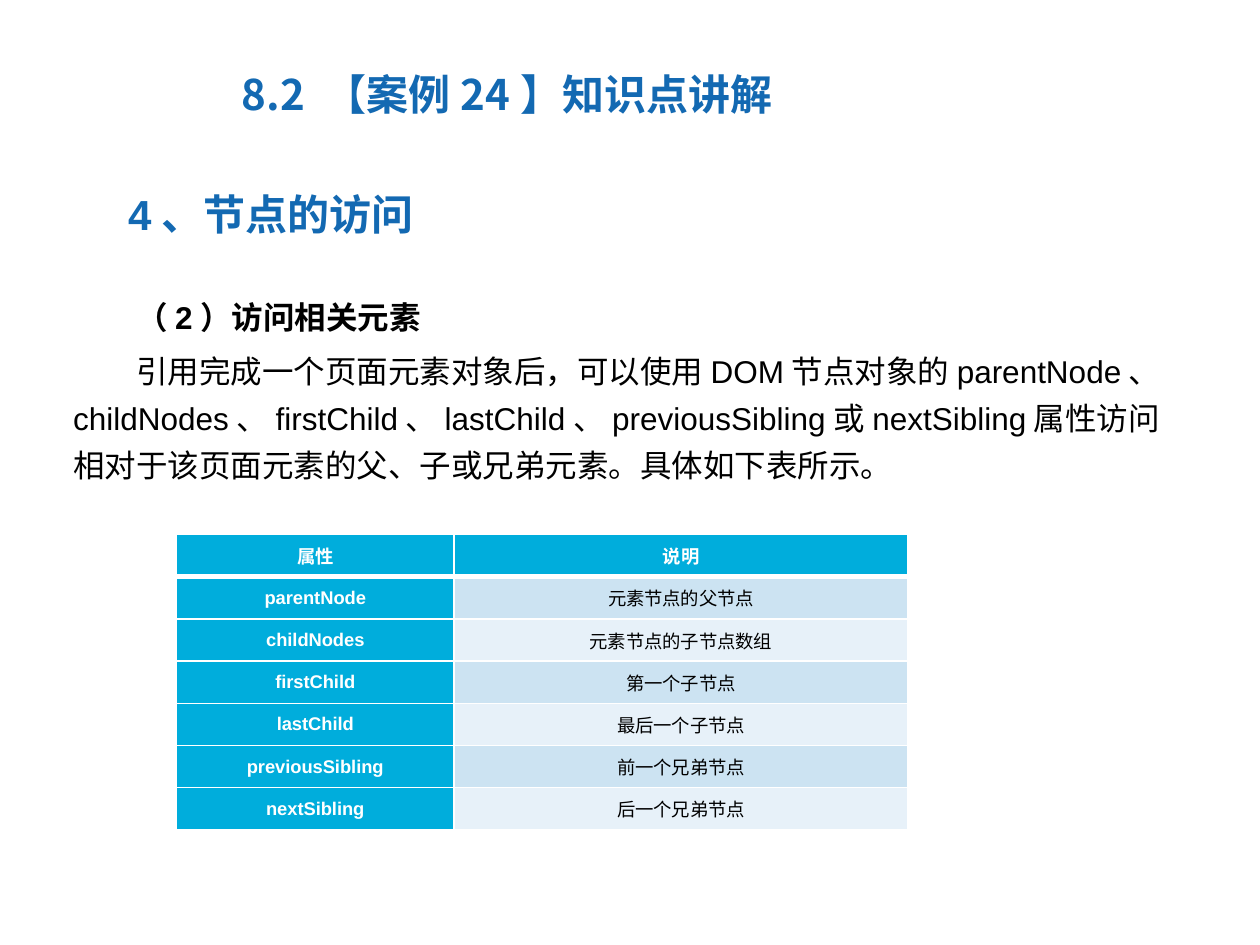
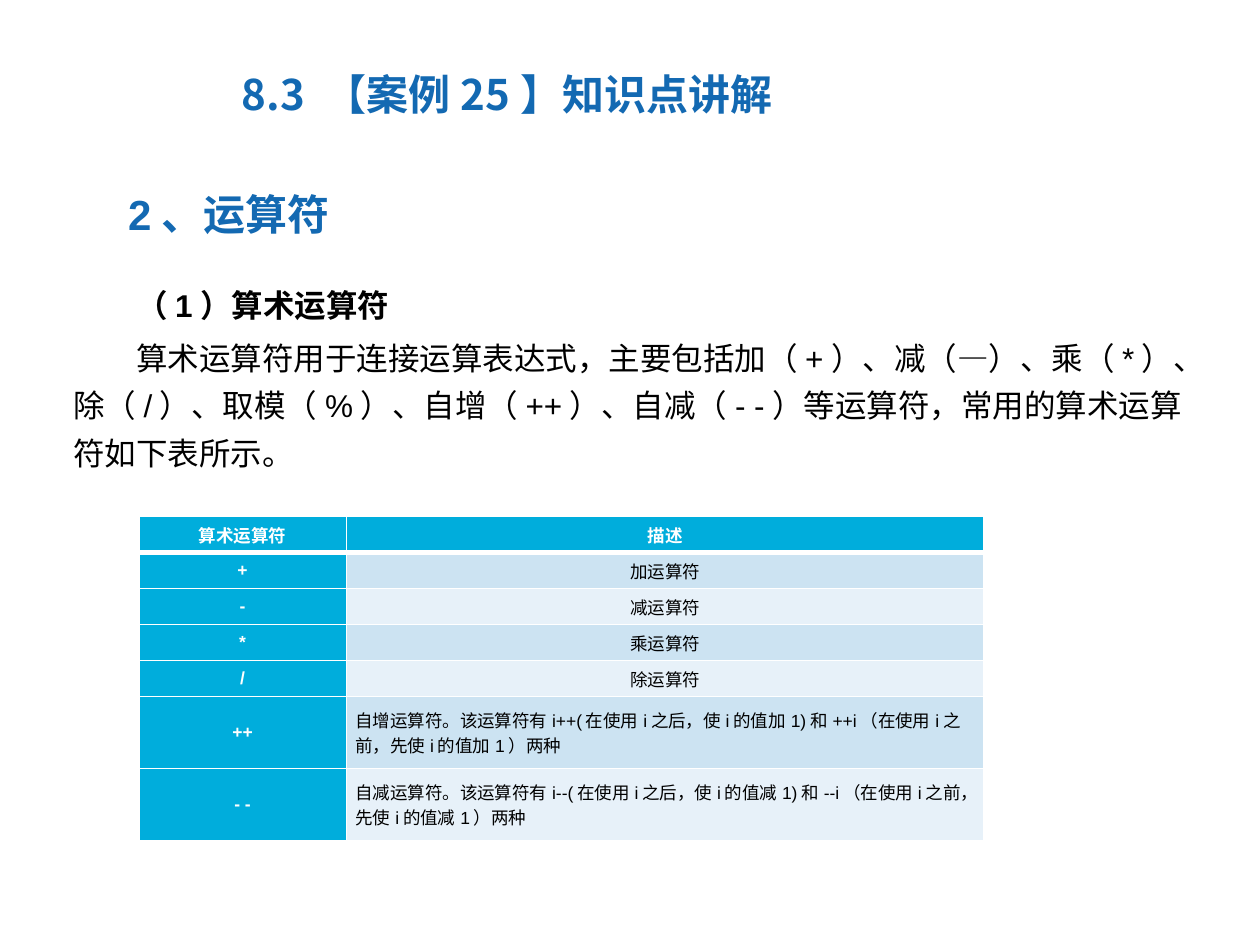
from dataclasses import dataclass

from lxml.etree import SubElement
from pptx import Presentation
from pptx.dml.color import RGBColor
from pptx.enum.text import MSO_ANCHOR as Anchor, MSO_AUTO_SIZE as AutoSize, PP_ALIGN as Align
from pptx.oxml import parse_xml
from pptx.oxml.ns import nsdecls, qn
from pptx.util import Pt

# Shared look
BLUE = RGBColor(0x13, 0x69, 0xB2)
CYAN = RGBColor(0x00, 0xAD, 0xDC)
BAND_DARK = RGBColor(0xCC, 0xE3, 0xF2)
BAND_LIGHT = RGBColor(0xE7, 0xF1, 0xF9)
WHITE = RGBColor(0xFF, 0xFF, 0xFF)
BLACK = RGBColor(0x00, 0x00, 0x00)
LATIN = "Arial"
CHINESE = "Noto Sans CJK SC"
INDENT = 36


@dataclass(frozen=True)
class Box:
    left: float
    top: float
    width: float
    height: float


@dataclass(frozen=True)
class Grid:
    box: Box
    columns: tuple[float, ...]
    row_units: tuple[int, ...]
    font_size: float
    rows: tuple[tuple[str, str], ...]


@dataclass(frozen=True)
class Lesson:
    title: str
    heading: str
    topic: str
    body: str
    body_top: float
    grid: Grid


TITLE_BOX = Box(131, 35.3, 611.3, 56.9)
HEADING_BOX = Box(30.2, 104.4, 604, 36)

LESSONS = (
    Lesson(
        "8.2 【案例24】知识点讲解",
        "4、节点的访问",
        "（2）访问相关元素",
        "引用完成一个页面元素对象后，可以使用DOM节点对象的parentNode、childNodes、"
        "firstChild、lastChild、previousSibling或nextSibling属性访问相对于该页面元素的"
        "父、子或兄弟元素。具体如下表所示。",
        161.3,
        Grid(Box(101, 305.4, 418, 169), (158.4, 259.6), (1,) * 7, 10.5, (
            ("属性", "说明"),
            ("parentNode", "元素节点的父节点"),
            ("childNodes", "元素节点的子节点数组"),
            ("firstChild", "第一个子节点"),
            ("lastChild", "最后一个子节点"),
            ("previousSibling", "前一个兄弟节点"),
            ("nextSibling", "后一个兄弟节点"),
        )),
    ),
    Lesson(
        "8.3 【案例25】知识点讲解",
        "2、运算符",
        "（1）算术运算符",
        "算术运算符用于连接运算表达式，主要包括加（+）、减（—）、乘（*）、除（/）、"
        "取模（%）、自增（++）、自减（- -）等运算符，常用的算术运算符如下表所示。",
        154.3,
        Grid(Box(79.3, 295.2, 483, 185), (118.6, 364.4), (1, 1, 1, 1, 1, 2, 2), 10, (
            ("算术运算符", "描述"),
            ("+", "加运算符"),
            ("-", "减运算符"),
            ("*", "乘运算符"),
            ("/", "除运算符"),
            ("++", "自增运算符。该运算符有i++(在使用i之后，使i的值加1)和++i（在使用i之前，先使i的值加1）两种"),
            ("- -", "自减运算符。该运算符有i--(在使用i之后，使i的值减1)和--i（在使用i之前，先使i的值减1）两种"),
        )),
    ),
)


def place(shape, box: Box) -> None:
    shape.left, shape.top = Pt(box.left), Pt(box.top)
    shape.width, shape.height = Pt(box.width), Pt(box.height)


def style(para, size: float, color: RGBColor, bold: bool, latin: str = LATIN) -> None:
    for span in para.runs:
        span.font.size = Pt(size)
        span.font.bold = bold
        span.font.color.rgb = color
        span.font.name = latin
        SubElement(span._r.get_or_add_rPr(), qn("a:ea"), typeface=CHINESE)


def indent_first_line(para) -> None:
    properties = para._p.get_or_add_pPr()
    properties.set("marL", "0")
    properties.set("indent", str(Pt(INDENT)))
    SubElement(properties, qn("a:buNone"))


def draw_title(page, text: str) -> None:
    title = page.shapes.title
    place(title, TITLE_BOX)
    frame = title.text_frame
    frame.text = text
    frame.auto_size = AutoSize.NONE
    frame.vertical_anchor = Anchor.TOP
    frame.paragraphs[0].alignment = Align.LEFT
    style(frame.paragraphs[0], 24, BLUE, True, CHINESE)


def draw_heading(page, text: str) -> None:
    box = HEADING_BOX
    heading = page.shapes.add_textbox(Pt(box.left), Pt(box.top), Pt(box.width), Pt(box.height))
    frame = heading.text_frame
    frame.word_wrap = True
    frame.text = text
    indent_first_line(frame.paragraphs[0])
    style(frame.paragraphs[0], 24, BLUE, True)


def draw_body(page, lesson: Lesson) -> None:
    body = page.placeholders[1]
    place(body, Box(34.6, lesson.body_top, 648, 117.4))
    frame = body.text_frame
    frame.text = f"{lesson.topic}\n{lesson.body}"
    frame.auto_size = AutoSize.NONE
    for para, bold in zip(frame.paragraphs, (True, False)):
        para.line_spacing = 1.25
        para.space_before = Pt(3.6)
        indent_first_line(para)
        style(para, 18, BLACK, bold)


def draw_borders(cell, bottom: float, top: float) -> None:
    properties = cell._tc.get_or_add_tcPr()
    for index, (side, width) in enumerate((("L", 1), ("R", 1), ("T", top), ("B", bottom))):
        properties.insert(index, parse_xml(
            f'<a:ln{side} {nsdecls("a")} w="{Pt(width)}"><a:solidFill>'
            f'<a:srgbClr val="{WHITE}"/></a:solidFill></a:ln{side}>'))


def draw_grid(page, grid: Grid) -> None:
    box = grid.box
    table = page.shapes.add_table(
        len(grid.rows), len(grid.columns),
        Pt(box.left), Pt(box.top), Pt(box.width), Pt(box.height)).table
    for column, width in zip(table.columns, grid.columns):
        column.width = Pt(width)
    unit_height = box.height / sum(grid.row_units)
    for row, units in zip(table.rows, grid.row_units):
        row.height = Pt(unit_height * units)

    for r, texts in enumerate(grid.rows):
        for c, text in enumerate(texts):
            cell = table.cell(r, c)
            cell.text = text
            cell.vertical_anchor = Anchor.MIDDLE
            cell.margin_left = cell.margin_right = Pt(5.2)
            cell.margin_top = cell.margin_bottom = 0
            is_header = r == 0 or c == 0
            band = BAND_DARK if r % 2 else BAND_LIGHT
            cell.fill.solid()
            cell.fill.fore_color.rgb = CYAN if is_header else band
            draw_borders(cell, bottom=3 if r == 0 else 1, top=3 if r == 1 else 1)
            para = cell.text_frame.paragraphs[0]
            # Two-line descriptions read from the left
            is_long = c == 1 and grid.row_units[r] > 1
            para.alignment = Align.LEFT if is_long else Align.CENTER
            style(para, grid.font_size, WHITE if is_header else BLACK, is_header)


def main() -> None:
    deck = Presentation()
    deck.slide_width, deck.slide_height = Pt(720), Pt(540)
    for lesson in LESSONS:
        page = deck.slides.add_slide(deck.slide_layouts[1])
        draw_title(page, lesson.title)
        draw_body(page, lesson)
        draw_heading(page, lesson.heading)
        draw_grid(page, lesson.grid)
    deck.save("out.pptx")


if __name__ == "__main__":
    main()
